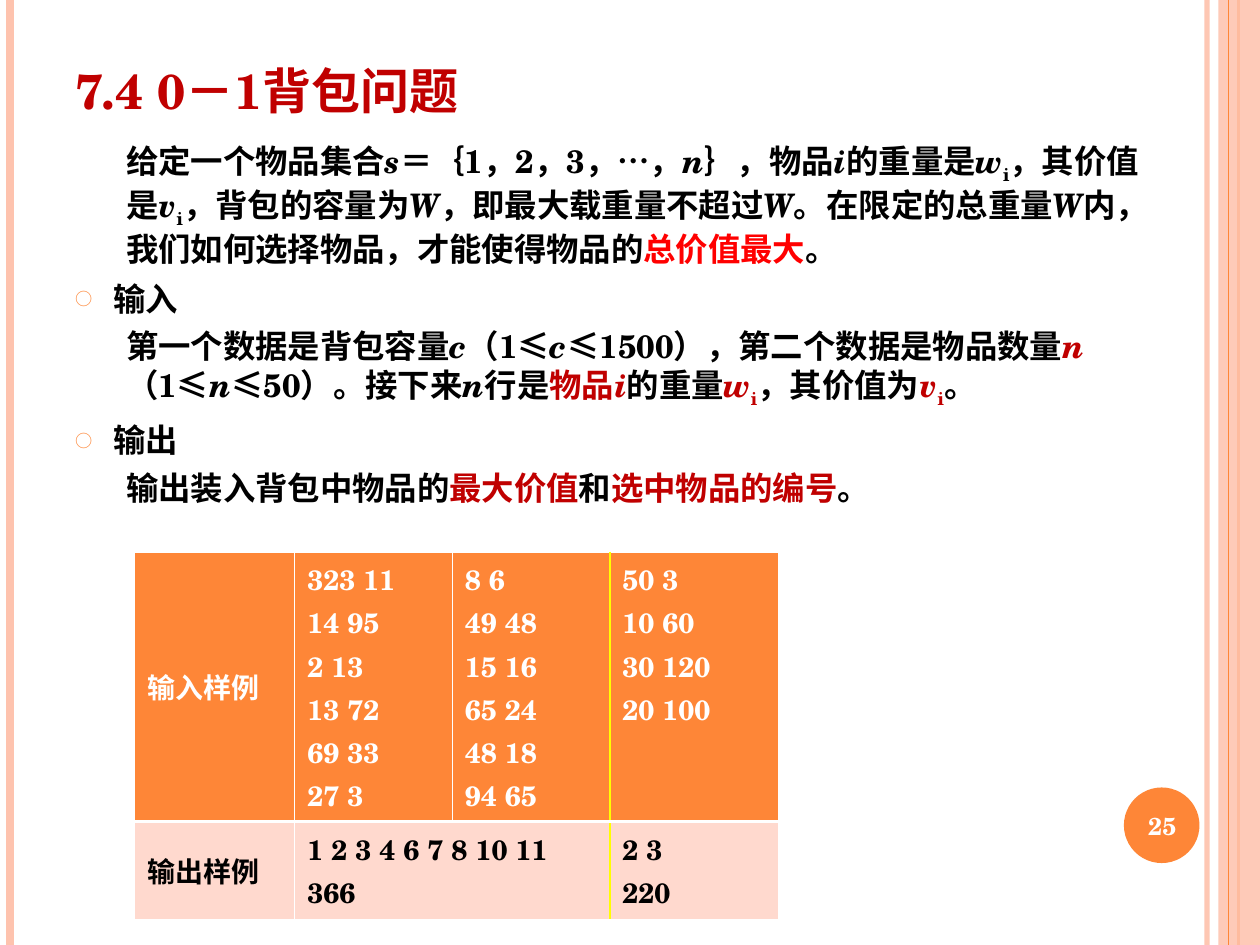
import pptx
import pptx.dml.color
import pptx.enum.shapes
import pptx.enum.text
import pptx.oxml
import pptx.oxml.ns
import pptx.util
from dataclasses import dataclass
from pptx.util import Inches


@dataclass(frozen=True)
class Theme:
    latin: str = "TeX Gyre Schola"
    cjk: str = "Noto Sans CJK SC"
    orange: str = "FE8637"
    peach: str = "FEC3AE"
    pale: str = "FFD9CE"
    white: str = "FFFFFF"
    black: str = "000000"
    dark_red: str = "C00000"
    red: str = "FF0000"
    yellow: str = "FFFF00"
    title_size: float = 28
    body_size: float = 18.5
    table_size: float = 16
    number_size: float = 14


theme = Theme()
rgb = pptx.dml.color.RGBColor.from_string
anchor = pptx.enum.text.MSO_ANCHOR
shapes = pptx.enum.shapes


def add_run(p, text, size, color, marks=""):
    """Marks: i italic, s subscript, m symbol font."""
    r = p.add_run()
    r.text = text
    r.font.size = pptx.util.Pt(size)
    r.font.bold = True
    r.font.italic = "i" in marks
    r.font.color.rgb = rgb(color)
    r.font.name = theme.cjk if "m" in marks else theme.latin
    if "s" in marks:
        r.font._element.set("baseline", "-25000")
    add_xml(r.font._element, f'<a:ea {{ns}} typeface="{theme.cjk}"/>')


def add_xml(parent, xml, index=None):
    el = pptx.oxml.parse_xml(xml.replace("{ns}", pptx.oxml.ns.nsdecls("a"), 1))
    parent.insert(len(parent) if index is None else index, el)


prs = pptx.Presentation()
prs.slide_width, prs.slide_height = Inches(10), Inches(7.5)
s = prs.slides.add_slide(prs.slide_layouts[1])

# Side lines: x, width in points, colour, opacity in percent
faded = []
for x, width, color, opacity in ((9.58, 3, theme.peach, 93),
                                 (0.08, 4.5, theme.peach, 100),
                                 (9.83, 1.5, theme.orange, 100),
                                 (9.75, 0.75, theme.orange, 100)):
    if x == 9.75:  # the wide stripe lies under the last line only
        stripe = s.shapes.add_shape(shapes.MSO_SHAPE.RECTANGLE,
                                    Inches(9.67), 0, Inches(0.33), Inches(7.5))
        faded.append((stripe, 87))
    line = s.shapes.add_connector(shapes.MSO_CONNECTOR.STRAIGHT,
                                  Inches(x), 0, Inches(x), Inches(7.5))
    line.line.width = pptx.util.Pt(width)
    line.line.color.rgb = rgb(color)
    add_xml(line._element.spPr, "<a:effectLst {ns}/>")
    if opacity < 100:
        faded.append((line, opacity))

# Wide stripe and number disc
disc = s.shapes.add_shape(shapes.MSO_SHAPE.OVAL,
                          Inches(8.92), Inches(6.25), Inches(0.6), Inches(0.6))
for sp, color in ((stripe, theme.peach), (disc, theme.orange)):
    sp.shadow.inherit = False
    sp.fill.solid()
    sp.fill.fore_color.rgb = rgb(color)
    sp.line.fill.background()
for sp, opacity in faded:
    clr = sp._element.spPr.xpath(".//a:srgbClr")[0]
    add_xml(clr, f'<a:alpha {{ns}} val="{opacity * 1000}"/>')

# Title
title = s.shapes.title
title.left, title.top = Inches(0.5), Inches(0.13)
title.width, title.height = Inches(8.83), Inches(0.87)
tf = title.text_frame
tf.auto_size = pptx.enum.text.MSO_AUTO_SIZE.NONE
tf.vertical_anchor = anchor.BOTTOM
p = tf.paragraphs[0]
p.alignment = pptx.enum.text.PP_ALIGN.LEFT
add_run(p, "7.4 0－1背包问题", theme.title_size, theme.dark_red)

# Slide number
box = s.shapes.add_textbox(Inches(8.89), Inches(6.27), Inches(0.67), Inches(0.57))
tf = box.text_frame
tf.word_wrap = True
tf.vertical_anchor = anchor.MIDDLE
p = tf.paragraphs[0]
p.alignment = pptx.enum.text.PP_ALIGN.CENTER
add_run(p, "25", theme.number_size, theme.white)

# Problem text: level, then runs of (text, marks); r dark red, h bright red
body_text = [
    (1, [("给定一个物品集合", ""), ("s", "i"), ("＝｛1，2，3，…，", ""), ("n", "i"),
         ("｝，物品", ""), ("i", "i"), ("的重量是", ""), ("w", "i"), ("i", "s"),
         ("，其价值是", ""), ("v", "i"), ("i", "s"), ("，背包的容量为", ""), ("W", "i"),
         ("，即最大载重量不超过", ""), ("W", "i"), ("。在限定的总重量", ""), ("W", "i"),
         ("内，我们如何选择物品，才能使得物品的", ""), ("总价值最大", "h"), ("。", "")]),
    (0, [("输入", "")]),
    (1, [("第一个数据是背包容量", ""), ("c", "i"), ("（1", ""), ("≤", "m"), ("c", "i"),
         ("≤", "m"), ("1500），第二个数据是物品数量", ""), ("n", "ir"), ("（1", ""),
         ("≤", "m"), ("n", "i"), ("≤", "m"), ("50）。接下来", ""), ("n", "i"),
         ("行是", ""), ("物品", "r"), ("i", "ir"), ("的重量", ""), ("w", "ir"),
         ("i", "sr"), ("，其价值为", ""), ("v", "ir"), ("i", "sr"), ("。", "")]),
    (0, [("输出", "")]),
    (1, [("输出装入背包中物品的", ""), ("最大价值", "r"), ("和", ""),
         ("选中物品的编号", "r"), ("。", "")]),
]
body = s.placeholders[1]
body.left, body.top = Inches(0.5), Inches(1.07)
body.width, body.height = Inches(8.83), Inches(3.47)
tf = body.text_frame
tf.auto_size = pptx.enum.text.MSO_AUTO_SIZE.NONE
for n, (level, runs) in enumerate(body_text):
    p = tf.add_paragraph() if n else tf.paragraphs[0]
    p.level = level
    p.line_spacing = 1.0
    p.space_before = pptx.util.Pt((6, 5)[level] if n else 0)
    pPr = p._p.get_or_add_pPr()
    pPr.set("marL", str(Inches((0.3, 0.4)[level])))
    pPr.set("indent", str(Inches((-0.3, 0)[level])))
    if level:
        add_xml(pPr, "<a:buNone {ns}/>")
    else:
        add_xml(pPr, f'<a:buClr {{ns}}><a:srgbClr val="{theme.orange}"/></a:buClr>')
        add_xml(pPr, '<a:buSzPct {ns} val="53000"/>')
        add_xml(pPr, f'<a:buFont {{ns}} typeface="{theme.cjk}"/>')
        add_xml(pPr, '<a:buChar {ns} char="○"/>')
    for text, marks in runs:
        color = (theme.dark_red if "r" in marks else
                 theme.red if "h" in marks else theme.black)
        add_run(p, text, theme.body_size, color, marks)

# Sample table
samples = [
    [["输入样例"],
     ["323 11", "14 95", "2 13", "13 72", "69 33", "27 3"],
     ["8 6", "49 48", "15 16", "65 24", "48 18", "94 65"],
     ["50 3", "10 60", "30 120", "20 100"]],
    [["输出样例"], ["1 2 3 4 6 7 8 10 11", "366"], [], ["2 3", "220"]],
]
row_colors = [(theme.orange, theme.white), (theme.pale, theme.black)]
table = s.shapes.add_table(2, 4, Inches(1.07), Inches(4.38),
                           Inches(5.11), Inches(2.92)).table
table.first_row = table.horz_banding = False
for col, width in zip(table.columns, (1.27, 1.25, 1.25, 1.34)):
    col.width = Inches(width)
for row, height in zip(table.rows, (2.14, 0.78)):
    row.height = Inches(height)
table.cell(1, 1).merge(table.cell(1, 2))

thin, thick, divider = (theme.white, 0.45), (theme.white, 1.47), (theme.yellow, 1.47)
for i, row in enumerate(samples):
    fill, ink = row_colors[i]
    for j, lines in enumerate(row):
        cell = table.cell(i, j)
        cell.fill.solid()
        cell.fill.fore_color.rgb = rgb(fill)
        cell.vertical_anchor = anchor.TOP if j else anchor.MIDDLE
        for n, text in enumerate(lines):
            tf = cell.text_frame
            p = tf.add_paragraph() if n else tf.paragraphs[0]
            add_run(p, text, theme.table_size, ink)
        last = j + (cell.span_width if cell.is_merge_origin else 1)
        borders = {"lnL": divider if j == 3 else thin,
                   "lnR": divider if last == 3 else thin,
                   "lnT": thick if i == 1 else thin,
                   "lnB": thick if i == 0 else thin}
        for n, (side, (color, width)) in enumerate(borders.items()):
            add_xml(cell._tc.get_or_add_tcPr(),
                    f'<a:{side} {{ns}} w="{int(pptx.util.Pt(width))}"><a:solidFill>'
                    f'<a:srgbClr val="{color}"/></a:solidFill></a:{side}>', n)

prs.save("out.pptx")
